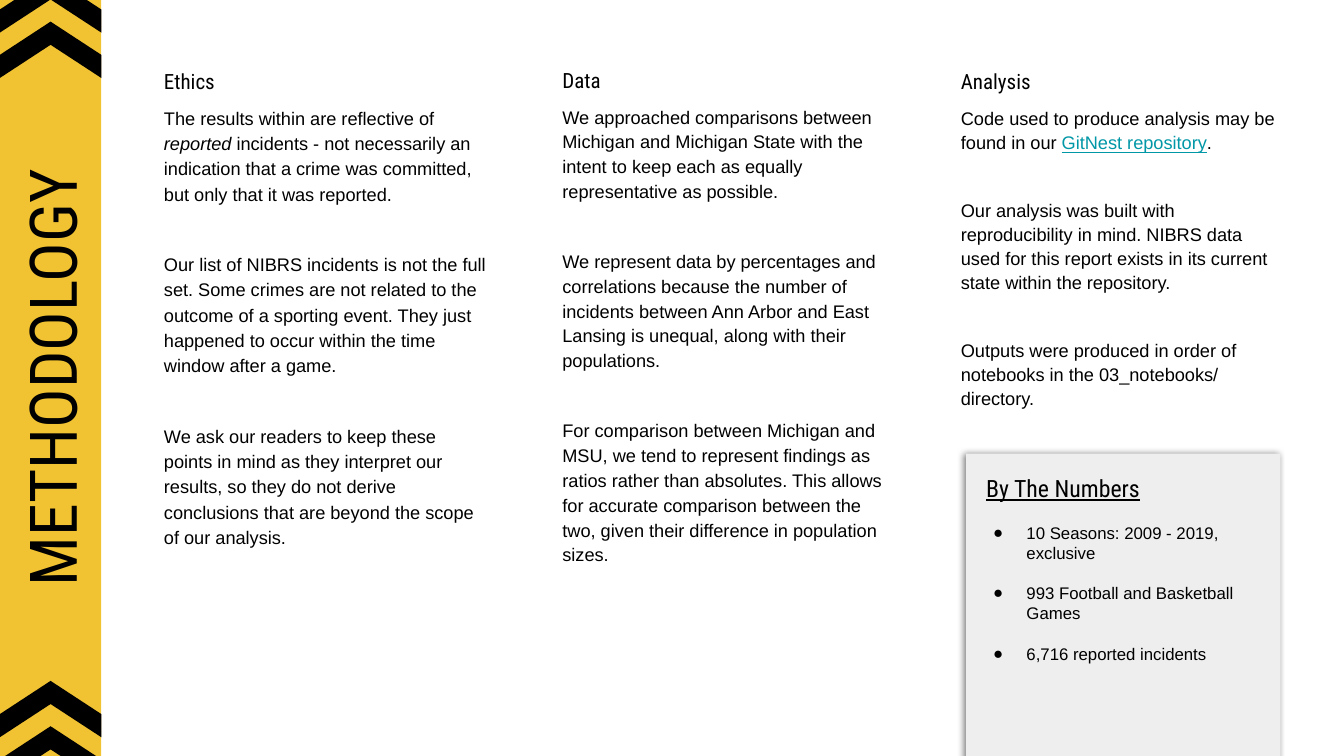
import pptx
import pptx.dml.color
import pptx.enum.shapes
import pptx.enum.text
import pptx.oxml
import pptx.oxml.ns
import pptx.util

Pt = pptx.util.Pt
SHAPES = pptx.enum.shapes.MSO_SHAPE
ALIGN = pptx.enum.text.PP_ALIGN
ANCHOR = pptx.enum.text.MSO_ANCHOR

COLORS = {"ink": "000000", "paper": "FFFFFF", "band": "F1C232",
          "panel": "EEEEEE", "link": "0097A7"}
HEADING_FONT, BODY_FONT = "Roboto Condensed", "Arial"

# A paragraph is a list of (text, style) runs.
TITLE = "METHODOLOGY"
COLUMNS = [
    {"heading": "Ethics", "top": 36.7, "spacing": (1.16, 1.16, 1.16), "paragraphs": [
        [("The results within are reflective of ", "plain"), ("reported", "italic"),
         (" incidents - not necessarily an indication that a crime was committed, "
          "but only that it was reported.", "plain")],
        [("Our list of NIBRS incidents is not the full set. Some crimes are not related "
          "to the outcome of a sporting event. They just happened to occur within the "
          "time window after a game.", "plain")],
        [("We ask our readers to keep these points in mind as they interpret our results, "
          "so they do not derive conclusions that are beyond the scope of our analysis.",
          "plain")]]},
    {"heading": "Data", "top": 36.7, "spacing": (1.14, 1.14, 1.14), "paragraphs": [
        [("We approached comparisons between Michigan and Michigan State with the intent "
          "to keep each as equally representative as possible.", "plain")],
        [("We represent data by percentages and correlations because the number of "
          "incidents between Ann Arbor and East Lansing is unequal, along with their "
          "populations.", "plain")],
        [("For comparison between Michigan and MSU, we tend to represent findings as "
          "ratios rather than absolutes. This allows for accurate comparison between the "
          "two, given their difference in population sizes.", "plain")]]},
    {"heading": "Analysis", "top": 37.4, "spacing": (1.14, 1.1, 1.1), "paragraphs": [
        [("Code used to produce analysis may be found in our ", "plain"),
         ("GitNest repository", "link"), (".", "plain")],
        [("Our analysis was built with reproducibility in mind. NIBRS data used for this "
          "report exists in its current state within the repository.", "plain")],
        [("Outputs were produced in order of notebooks in the 03_notebooks/ directory.",
          "plain")]]},
]
NUMBERS_HEADING = "By The Numbers"
NUMBERS = ["10 Seasons: 2009 - 2019, exclusive", "993 Football and Basketball Games",
           "6,716 reported incidents"]

SLIDE_W, SLIDE_H = 960.5, 540
COLUMN_LEFT, COLUMN_PITCH, COLUMN_W, COLUMN_H = 108, 284.75, 249, 428
PARAGRAPH_GAP, BODY_SIZE, LINE_RATIO = 7, 13, 1.2
BAND_W = 72.3
CHEVRON_W, CHEVRON_H = 40.3, 72.7
CHEVRON_CENTERS = [y + step for y in (3.2, 506.5) for step in (0, 32.4)]


def rgb(name):
    return pptx.dml.color.RGBColor.from_string(COLORS[name])


def add_run(paragraph, text, font, size, color="ink"):
    run = paragraph.add_run()
    run.text = text
    run.font.name, run.font.size = font, Pt(size)
    run.font.color.rgb = rgb(color)
    return run


def set_frame(frame, insets, anchor=ANCHOR.TOP):
    frame.word_wrap = True
    frame.vertical_anchor = anchor
    (frame.margin_left, frame.margin_top,
     frame.margin_right, frame.margin_bottom) = map(Pt, insets)


def add_filled(kind, left, top, width, height, color):
    shape = slide.shapes.add_shape(kind, Pt(left), Pt(top), Pt(width), Pt(height))
    shape.shadow.inherit = False
    shape.fill.solid()
    shape.fill.fore_color.rgb = rgb(color)
    shape.line.fill.background()
    return shape


def add_upright(kind, center_y, width, height, color):
    """Add a shape turned a quarter left, centred across the side band."""
    shape = add_filled(kind, (BAND_W - width) / 2, center_y - height / 2, width, height, color)
    shape.rotation = 270
    return shape


def add_column(index, column):
    box = slide.shapes.add_textbox(Pt(COLUMN_LEFT + index * COLUMN_PITCH), Pt(column["top"]),
                                   Pt(COLUMN_W), Pt(COLUMN_H))
    frame = box.text_frame
    set_frame(frame, [9.2] * 4)
    heading = frame.paragraphs[0]
    heading.line_spacing, heading.space_before = column["spacing"][0], Pt(PARAGRAPH_GAP)
    add_run(heading, column["heading"], HEADING_FONT, 15)
    for number, (runs, spacing) in enumerate(zip(column["paragraphs"], column["spacing"])):
        body = frame.add_paragraph()
        body.line_spacing = spacing
        wide_gap = 2 * PARAGRAPH_GAP + BODY_SIZE * LINE_RATIO * spacing
        body.space_before = Pt(wide_gap if number else PARAGRAPH_GAP)
        for text, style in runs:
            run = add_run(body, text, BODY_FONT, BODY_SIZE, "link" if style == "link" else "ink")
            run.font.italic = style == "italic"
            run.font.underline = style == "link"


def indent(paragraph, left, hanging=0):
    properties = paragraph._p.get_or_add_pPr()
    properties.set("marL", str(Pt(left)))
    properties.set("indent", str(-Pt(hanging)))
    return properties


def add_bullet(properties):
    namespace = pptx.oxml.ns.nsdecls("a")
    for xml in (f'<a:buClr {namespace}><a:srgbClr val="{COLORS["ink"]}"/></a:buClr>',
                f'<a:buFont {namespace} typeface="{BODY_FONT}"/>',
                f'<a:buChar {namespace} char="●"/>'):
        properties.append(pptx.oxml.parse_xml(xml))


def add_numbers_panel():
    panel = add_filled(SHAPES.RECTANGLE, 690.5, 324, 224.6, 230.4, "panel")
    effects = panel._element.spPr.find(pptx.oxml.ns.qn("a:effectLst"))
    effects.append(pptx.oxml.parse_xml(
        f'<a:outerShdw {pptx.oxml.ns.nsdecls("a")} blurRad="{Pt(4.5)}" dist="{Pt(1.5)}" '
        f'dir="10800000" algn="bl" rotWithShape="0"><a:srgbClr val="{COLORS["ink"]}">'
        '<a:alpha val="50000"/></a:srgbClr></a:outerShdw>'))
    frame = panel.text_frame
    set_frame(frame, [7.2, 14.4, 7.2, 7.2])
    heading = frame.paragraphs[0]
    heading.alignment = ALIGN.LEFT
    indent(heading, 7.2)
    add_run(heading, NUMBERS_HEADING, HEADING_FONT, 17).font.underline = True
    for text in NUMBERS:
        item = frame.add_paragraph()
        item.alignment = ALIGN.LEFT
        item.space_before = Pt(14.4)
        add_bullet(indent(item, 36, 23.8))
        add_run(item, text, BODY_FONT, 12)


presentation = pptx.Presentation()
presentation.slide_width, presentation.slide_height = Pt(SLIDE_W), Pt(SLIDE_H)
slide = presentation.slides.add_slide(presentation.slide_layouts[6])
slide.background.fill.solid()
slide.background.fill.fore_color.rgb = rgb("paper")

for index, column in enumerate(COLUMNS):
    add_column(index, column)
add_numbers_panel()

band = add_upright(SHAPES.RECTANGLE, SLIDE_H / 2, SLIDE_H, BAND_W, "band")
set_frame(band.text_frame, [9.2] * 4, ANCHOR.MIDDLE)
band.text_frame.paragraphs[0].alignment = ALIGN.CENTER
add_run(band.text_frame.paragraphs[0], TITLE, HEADING_FONT, 47)
for center_y in CHEVRON_CENTERS:
    chevron = add_upright(SHAPES.CHEVRON, center_y, CHEVRON_W, CHEVRON_H, "ink")
    chevron.adjustments[0] = 0.59

presentation.save("out.pptx")
